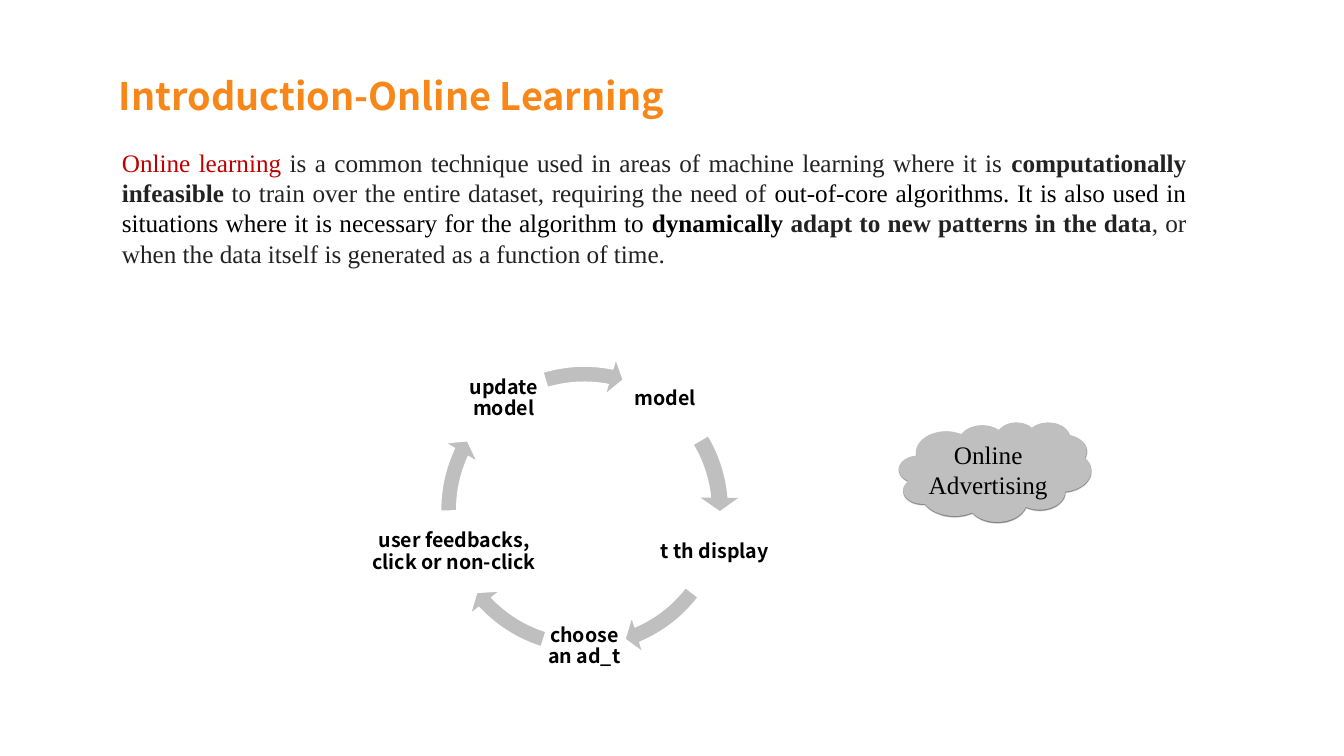
from dataclasses import dataclass

from lxml.etree import SubElement
from pptx import Presentation
from pptx.dml.color import RGBColor
from pptx.enum.shapes import MSO_SHAPE
from pptx.enum.text import MSO_ANCHOR, MSO_AUTO_SIZE, PP_ALIGN
from pptx.oxml.ns import qn
from pptx.util import Inches, Pt


@dataclass(frozen=True)
class Theme:
    heading_font: str = "Noto Sans CJK SC"
    body_font: str = "Times New Roman"
    orange: str = "F88719"
    red: str = "C00000"
    charcoal: str = "222222"
    black: str = "000000"
    grey: str = "BFBFBF"
    white: str = "FFFFFF"
    title_size: int = 54
    body_size: int = 36
    step_size: int = 28


class SlideBuilder:
    def __init__(self, slide, theme):
        self.theme = theme
        self.shapes = slide.shapes
        self.cycle = slide.shapes.add_group_shape().shapes

    def set_text(self, shape, runs, font, size, align, inset=0.04, **frame_format):
        frame = shape.text_frame
        margins = {}
        if inset is not None:
            sides = ("left", "top", "right", "bottom")
            margins = {f"margin_{side}": Inches(inset) for side in sides}
        for name, value in {"word_wrap": True, **margins, **frame_format}.items():
            setattr(frame, name, value)
        paragraph = frame.paragraphs[0]
        paragraph.alignment = align
        for text, color, bold in runs:
            run = paragraph.add_run()
            run.text = text
            for name, value in {"name": font, "size": Pt(size), "bold": bold}.items():
                setattr(run.font, name, value)
            run.font.color.rgb = RGBColor.from_string(color)
        return paragraph

    def title(self, text, box):
        self.set_text(self.shapes.add_textbox(*map(Inches, box)),
                      [(text, self.theme.orange, True)],
                      self.theme.heading_font, self.theme.title_size,
                      PP_ALIGN.LEFT, vertical_anchor=MSO_ANCHOR.BOTTOM)

    def body(self, runs, box):
        self.set_text(self.shapes.add_textbox(*map(Inches, box)), runs,
                      self.theme.body_font, self.theme.body_size,
                      PP_ALIGN.JUSTIFY, inset=None,
                      auto_size=MSO_AUTO_SIZE.SHAPE_TO_FIT_TEXT)

    def step(self, text, box):
        paragraph = self.set_text(self.cycle.add_textbox(*map(Inches, box)),
                                  [(text, self.theme.black, True)],
                                  self.theme.heading_font, self.theme.step_size,
                                  PP_ALIGN.CENTER, vertical_anchor=MSO_ANCHOR.MIDDLE)
        paragraph.line_spacing = 0.9

    def fill_grey(self, shape):
        shape.shadow.inherit = False
        shape.fill.solid()
        shape.fill.fore_color.rgb = RGBColor.from_string(self.theme.grey)

    def arc_arrow(self, box, start, end, outlined):
        arrow = self.cycle.add_shape(MSO_SHAPE.CIRCULAR_ARROW, *map(Inches, box))
        self.fill_grey(arrow)
        if outlined:
            arrow.line.color.rgb = RGBColor.from_string(self.theme.white)
            arrow.line.width = Pt(2)
        else:
            arrow.line.fill.background()
        degree = 0.6
        settings = (0.052, 5.59 * degree, end * degree, start * degree, 0.061)
        for index, value in enumerate(settings):
            arrow.adjustments[index] = value

    def cloud(self, text, box):
        cloud = self.shapes.add_shape(MSO_SHAPE.CLOUD, *map(Inches, box))
        self.fill_grey(cloud)
        cloud.line.fill.background()
        effects = cloud._element.spPr.find(qn("a:effectLst"))
        shadow = SubElement(effects, qn("a:outerShdw"), blurRad=str(Pt(1)),
                            dist=str(Pt(1)), dir="5400000", rotWithShape="0")
        color = SubElement(shadow, qn("a:srgbClr"), val=self.theme.black)
        SubElement(color, qn("a:alpha"), val="50000")
        self.set_text(cloud, [(text, self.theme.black, False)],
                      self.theme.body_font, self.theme.body_size,
                      PP_ALIGN.CENTER, vertical_anchor=MSO_ANCHOR.MIDDLE)


def main():
    deck = Presentation()
    deck.slide_width, deck.slide_height = Inches(26.67), Inches(15)
    theme = Theme()
    builder = SlideBuilder(deck.slides.add_slide(deck.slide_layouts[6]), theme)

    builder.title("Introduction-Online Learning", (2.32, 0.61, 19.32, 1.77))
    builder.body([
        ("Online learning", theme.red, False),
        (" is a common technique used in areas of machine learning where it is ",
         theme.charcoal, False),
        ("computationally infeasible", theme.charcoal, True),
        (" to train over the entire dataset, requiring the need of ",
         theme.charcoal, False),
        ("out-of-core algorithms. It is also used in situations where it is "
         "necessary for the algorithm to ", theme.black, False),
        ("dynamically ", theme.black, True),
        ("adapt to new patterns in the data", theme.charcoal, True),
        (", or when the data itself is generated as a function of time.",
         theme.charcoal, False),
    ], (2.32, 2.87, 21.32, 2.52))

    ring = (8.53, 7.05, 6.13, 6.13)
    step_height = 1.63
    steps = [
        ("model", 12.38, 7.1, 1.63, 329.41, 354.92),
        ("t th display", 12.75, 10.14, 2.87, 37.52, 66.95),
        ("choose an ad_t", 10.78, 12.02, 1.63, 107.46, 136.88),
        ("user feedbacks, click or non-click", 6.99, 10.14, 4.04, 179.49, 205),
        ("update model", 9.18, 7.1, 1.63, 253.28, 281.13),
    ]
    for position, (text, left, top, width, start, end) in enumerate(steps):
        builder.step(text, (left, top, width, step_height))
        builder.arc_arrow(ring, start, end, outlined=position > 0)

    builder.cloud("Online Advertising", (17.84, 8.38, 3.81, 1.97))
    deck.save("out.pptx")


if __name__ == "__main__":
    main()
